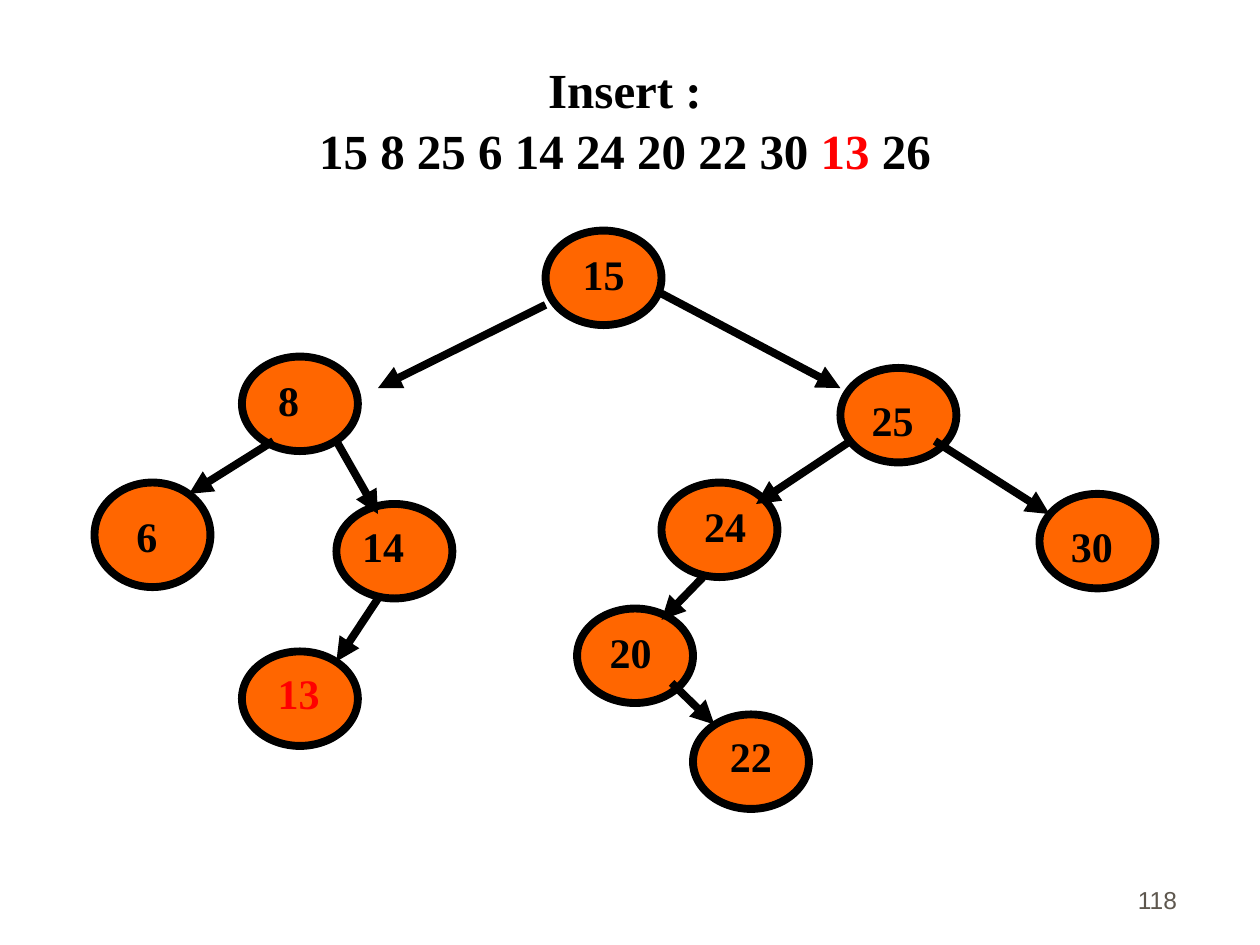
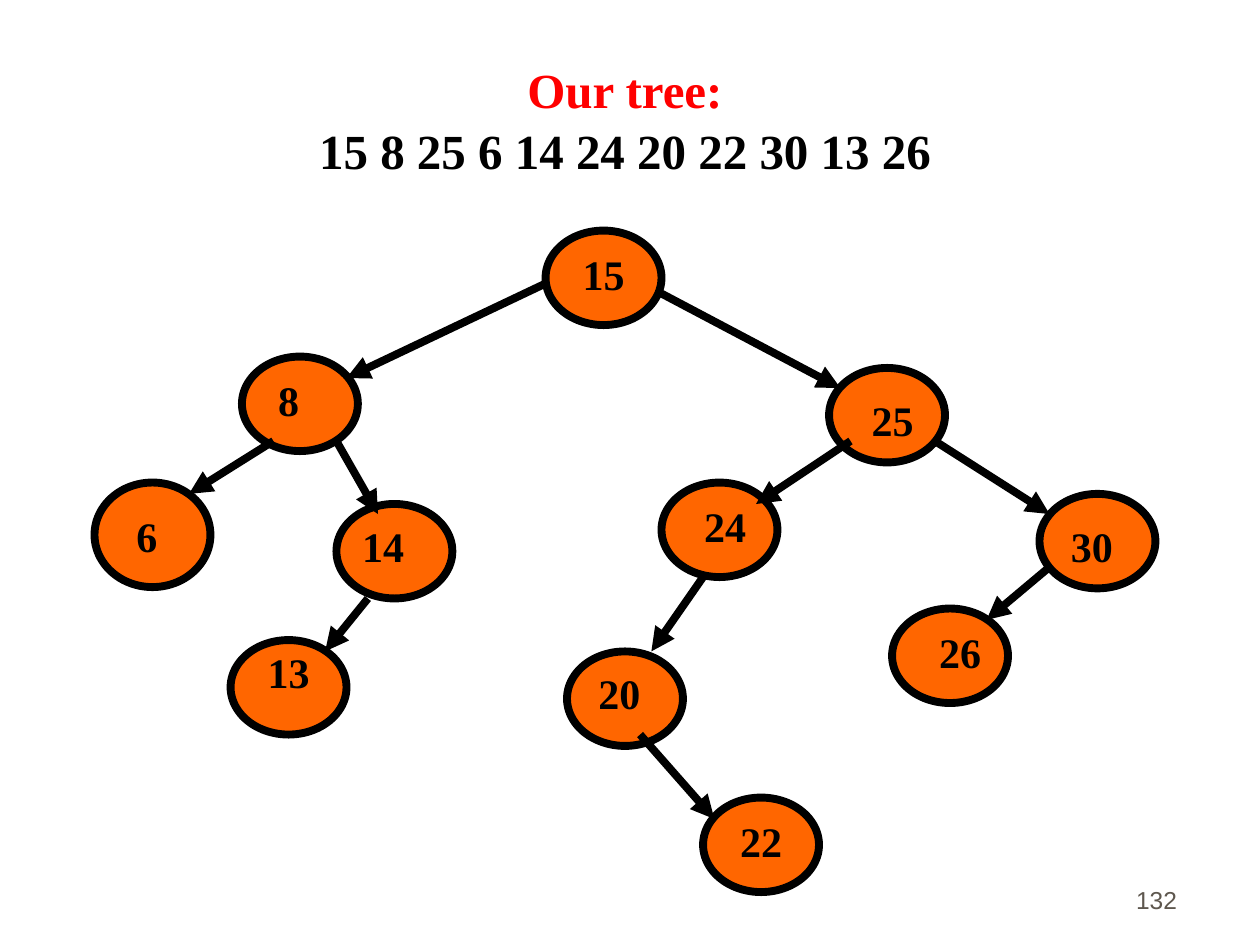
from dataclasses import dataclass, replace

from lxml import etree
from pptx import Presentation
from pptx import util as u
from pptx.dml.color import RGBColor
from pptx.enum import shapes, text
from pptx.oxml.ns import qn

BLACK = RGBColor(0x00, 0x00, 0x00)
RED = RGBColor(0xFF, 0x00, 0x00)
ORANGE = RGBColor(0xFF, 0x66, 0x00)
GREY = RGBColor(0x5E, 0x57, 0x4E)
SERIF, SANS = "Times New Roman", "Arial"


@dataclass(frozen=True)
class Node:
    left: float
    top: float
    label: tuple
    arrow: tuple = ()
    height: float = 0.75
    color: RGBColor = BLACK


SHARED_NODES = {
    "15": Node(4.33, 1.83, (4.5, 1.92, 0.58)),
    "8": Node(1.92, 2.83, (2.08, 2.92, 0.42), (4.33, 2.25, 2.75, 3)),
    "25": Node(6.67, 2.92, (6.75, 3.08, 0.67), (5.25, 2.33, 6.67, 3.08)),
    "6": Node(0.75, 3.83, (0.83, 4, 0.67), (2.17, 3.5, 1.5, 3.92), height=0.83),
    "14": Node(2.67, 4, (2.75, 4.08, 0.58), (2.67, 3.5, 3, 4.08)),
    "24": Node(5.25, 3.83, (5.42, 3.92, 0.67), (6.75, 3.5, 6, 4)),
    "30": Node(8.25, 3.92, (8.33, 4.08, 0.67), (7.42, 3.5, 8.33, 4.08)),
}
INSERT_NODES = SHARED_NODES | {
    "8": replace(SHARED_NODES["8"], arrow=(4.33, 2.42, 3, 3.08)),
    "20": Node(4.58, 4.83, (4.67, 4.92, 0.67), (5.58, 4.58, 5.25, 4.92)),
    "22": Node(5.5, 5.67, (5.67, 5.75, 0.58), (5.33, 5.42, 5.67, 5.75)),
    "13": Node(1.92, 5.17, (2.08, 5.25, 0.58), (3, 4.75, 2.67, 5.25), color=RED),
}
FINAL_NODES = SHARED_NODES | {
    "25": replace(SHARED_NODES["25"], left=6.58),
    "20": Node(4.5, 5.17, (4.58, 5.25, 0.67), (5.58, 4.58, 5.17, 5.17)),
    "22": Node(5.58, 6.33, (5.75, 6.42, 0.58), (5.08, 5.83, 5.67, 6.5)),
    "26": Node(7.08, 4.83, (7.33, 4.92, 0.58), (8.33, 4.5, 7.83, 4.92)),
    "13": Node(1.83, 5.08, (2, 5.08, 0.58), (2.92, 4.75, 2.58, 5.17)),
}


def add_run(paragraph, words, *, size, color=BLACK, font=SERIF, bold=True):
    """Append one formatted run to a paragraph."""
    run = paragraph.add_run()
    run.text = words
    run.font.name = font
    run.font.size = u.Pt(size)
    run.font.bold = bold
    run.font.color.rgb = color


class TreeDeck:
    """Holds the presentation's style and its current slide."""

    node_width = 0.92
    line_width = u.Pt(4.5)

    def __init__(self):
        """Start an empty presentation of 10 by 7.5 inches."""
        self.presentation = Presentation()
        self.presentation.slide_width = u.Inches(10)
        self.presentation.slide_height = u.Inches(7.5)
        self.slide = None

    def add_slide(self, title_lines, nodes, number):
        """Add a slide with its title, tree and page number."""
        layout = self.presentation.slide_layouts[6]
        self.slide = self.presentation.slides.add_slide(layout)
        self.title(title_lines)
        for value, node in nodes.items():
            self.node(value, node)
        self.page_number(number)

    def text_frame(self, left, top, width, height, align=text.PP_ALIGN.CENTER):
        """Add a wrapping text box and return its frame."""
        box = self.slide.shapes.add_textbox(*map(u.Inches, (left, top, width, height)))
        frame = box.text_frame
        frame.word_wrap = True
        frame.paragraphs[0].alignment = align
        return frame

    def title(self, lines):
        """Add the centred title, each line a list of (words, color) runs."""
        frame = self.text_frame(2, 0.42, 5.92, 1.04)
        for index, runs in enumerate(lines):
            paragraph = frame.paragraphs[0]
            if index:
                paragraph = frame.add_paragraph()
                paragraph.alignment = text.PP_ALIGN.CENTER
                paragraph.space_before = u.Pt(1.5)
            for words, color in runs:
                add_run(paragraph, words, size=28, color=color)

    def node(self, value, node):
        """Add a tree node, the arrow that leads to it and its value."""
        bounds = (node.left, node.top, self.node_width, node.height)
        shape = self.slide.shapes.add_shape(
            shapes.MSO_SHAPE.OVAL, *map(u.Inches, bounds))
        shape.shadow.inherit = False
        shape.fill.solid()
        shape.fill.fore_color.rgb = ORANGE
        shape.line.color.rgb = BLACK
        shape.line.width = self.line_width
        if node.arrow:
            self.arrow(*node.arrow)
        frame = self.text_frame(*node.label, 0.5)
        add_run(frame.paragraphs[0], value, size=24, color=node.color)

    def arrow(self, *ends):
        """Add a straight arrow between two points."""
        connector = self.slide.shapes.add_connector(
            shapes.MSO_CONNECTOR.STRAIGHT, *map(u.Inches, ends))
        connector.line.color.rgb = BLACK
        connector.line.width = self.line_width
        properties = connector.line._get_or_add_ln()
        etree.SubElement(properties, qn("a:tailEnd"), type="triangle")
        etree.SubElement(properties.getparent(), qn("a:effectLst"))

    def page_number(self, number):
        """Add the page number at the lower right."""
        frame = self.text_frame(7.36, 6.81, 2.08, 0.5, text.PP_ALIGN.RIGHT)
        frame.vertical_anchor = text.MSO_ANCHOR.BOTTOM
        add_run(frame.paragraphs[0], str(number), size=14, color=GREY,
                font=SANS, bold=False)


def main():
    """Build and save both tree slides."""
    deck = TreeDeck()
    deck.add_slide(
        [[("Insert :", BLACK)],
         [("15 8 25 6 14 24 20 22 30", BLACK), (" 13", RED), (" 26", BLACK)]],
        INSERT_NODES, 118)
    deck.add_slide(
        [[("Our tree:", RED)], [("15 8 25 6 14 24 20 22 30 13 26", BLACK)]],
        FINAL_NODES, 132)
    deck.presentation.save("out.pptx")


if __name__ == "__main__":
    main()
